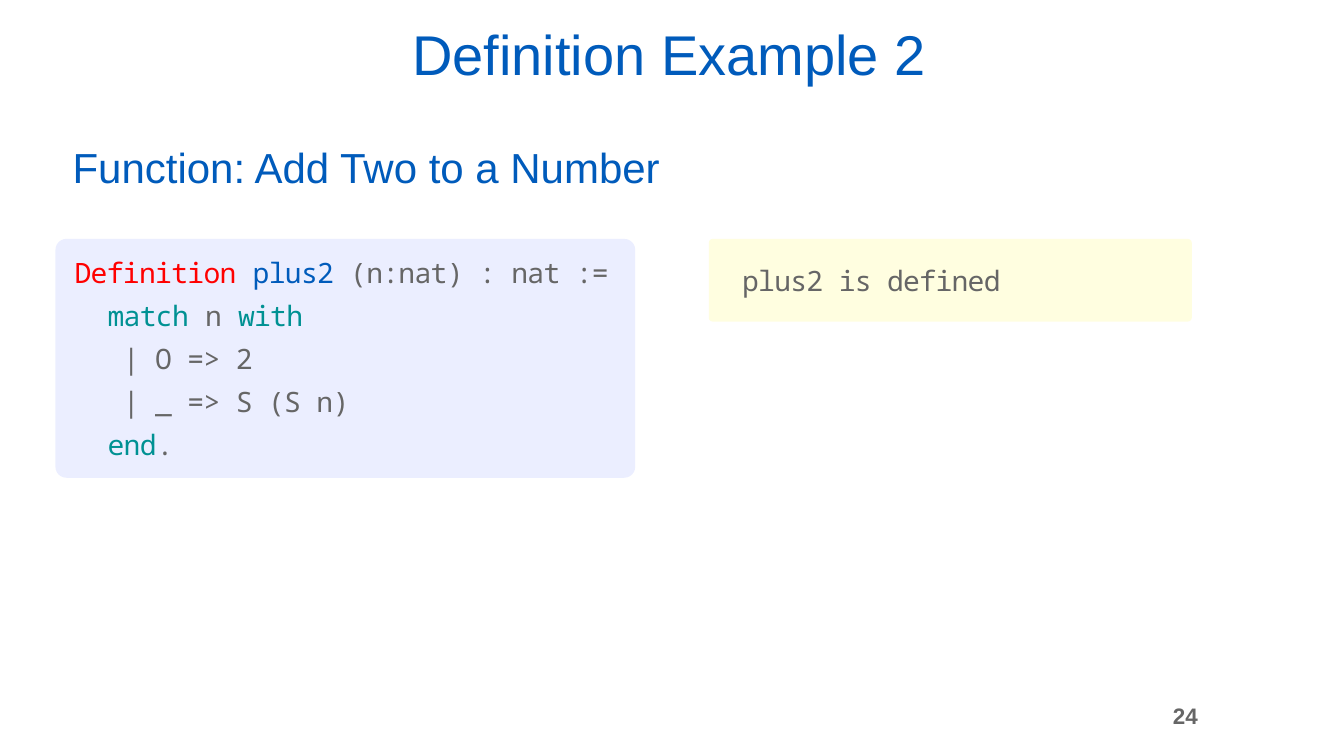
from lxml import etree
from pptx import Presentation
from pptx.dml.color import RGBColor
from pptx.enum.shapes import MSO_SHAPE
from pptx.enum.text import MSO_ANCHOR, MSO_AUTO_SIZE, PP_ALIGN
from pptx.oxml.ns import qn
from pptx.util import Inches, Pt

ROUNDED = MSO_SHAPE.ROUNDED_RECTANGLE
TOP, MIDDLE = MSO_ANCHOR.TOP, MSO_ANCHOR.MIDDLE
LEFT, RIGHT = PP_ALIGN.LEFT, PP_ALIGN.RIGHT
NO_FIT = MSO_AUTO_SIZE.NONE

BLUE = RGBColor(0x00, 0x5B, 0xBB)
GREY = RGBColor(0x66, 0x66, 0x66)
RED = RGBColor(0xFF, 0x00, 0x00)
TEAL = RGBColor(0x00, 0x91, 0x93)
CODE_FILL = RGBColor(0x04, 0x32, 0xFF)
OUTPUT_FILL = RGBColor(0xFF, 0xFC, 0x00)
SANS, MONO = "Arial", "Noto Sans Mono"

HEADING = "Definition Example 2"
SUBHEADING = "Function: Add Two to a Number"
PAGE = "24"
CODE = [
    [("Definition ", RED), ("plus2 ", BLUE), ("(n:nat) : nat :=", GREY)],
    [("  ", GREY), ("match", TEAL), (" n ", GREY), ("with", TEAL)],
    [("   | O => 2", GREY)],
    [("   | _ => S (S n)", GREY)],
    [("  ", GREY), ("end", TEAL), (".", GREY)],
]
OUTPUT = [[("plus2 is defined", GREY)]]

W, H = 13.33, 7.5
PANEL_TOP = 2.37
PANELS = [
    (OUTPUT, 7.03, 4.79, 0.82, OUTPUT_FILL, 12, 0.22),
    (CODE, 0.55, 5.75, 2.37, CODE_FILL, 8, 0.06),
]


def place(sp, left, top, width, height):
    sp.left, sp.top = Inches(left), Inches(top)
    sp.width, sp.height = Inches(width), Inches(height)


def write(sp, text, size, color, align=LEFT, anchor=TOP, bold=False):
    tf = sp.text_frame
    tf.word_wrap = True
    tf.auto_size = NO_FIT
    tf.vertical_anchor = anchor
    p = tf.paragraphs[0]
    p.text = text
    p.alignment = align
    p.line_spacing = 0.9
    p.font.name, p.font.size = SANS, Pt(size)
    p.font.bold, p.font.color.rgb = bold, color
    return tf


def add_panel(s, lines, left, width, height, fill, opacity, indent):
    sp = s.shapes.add_shape(ROUNDED, Inches(left), Inches(PANEL_TOP),
                            Inches(width), Inches(height))
    sp.adjustments[0] = 0.046
    sp.shadow.inherit = False
    sp.line.fill.background()
    sp.fill.solid()
    sp.fill.fore_color.rgb = fill
    clr = sp._element.spPr.find(qn("a:solidFill"))[0]
    etree.SubElement(clr, qn("a:alpha")).set("val", str(opacity * 1000))
    tf = sp.text_frame
    tf.word_wrap = True
    tf.vertical_anchor = MIDDLE
    for i, line in enumerate(lines):
        p = tf.add_paragraph() if i else tf.paragraphs[0]
        p.alignment = LEFT
        p.space_before = Pt(6.7 if i else 0)
        p._p.get_or_add_pPr().set("marL", str(Inches(indent)))
        p.font.name, p.font.size = MONO, Pt(20)
        for text, color in line:
            r = p.add_run()
            r.text = text
            r.font.color.rgb = color
            r._r.get_or_add_rPr().set("spc", "-50")


def main():
    prs = Presentation()
    prs.slide_width, prs.slide_height = Inches(W), Inches(H)
    s = prs.slides.add_slide(prs.slide_layouts[5])

    title = s.shapes.title
    place(title, 0.62, 1.41, 9.81, 1.05)
    write(title, SUBHEADING, 30, BLUE)

    heading = s.shapes.add_textbox(0, 0, 0, 0)
    place(heading, 3.99, 0.22, 9.12, 0.82)
    write(heading, HEADING, 40, BLUE)

    for panel in PANELS:
        add_panel(s, *panel)

    number = s.shapes.add_textbox(0, 0, 0, 0)
    place(number, 11.22, 6.83, 0.79, 0.58)
    tf = write(number, PAGE, 16, GREY, RIGHT, MIDDLE, True)
    tf.margin_left = tf.margin_right = Inches(0.13)
    tf.margin_top = tf.margin_bottom = Inches(0.07)

    prs.save("out.pptx")


if __name__ == "__main__":
    main()
